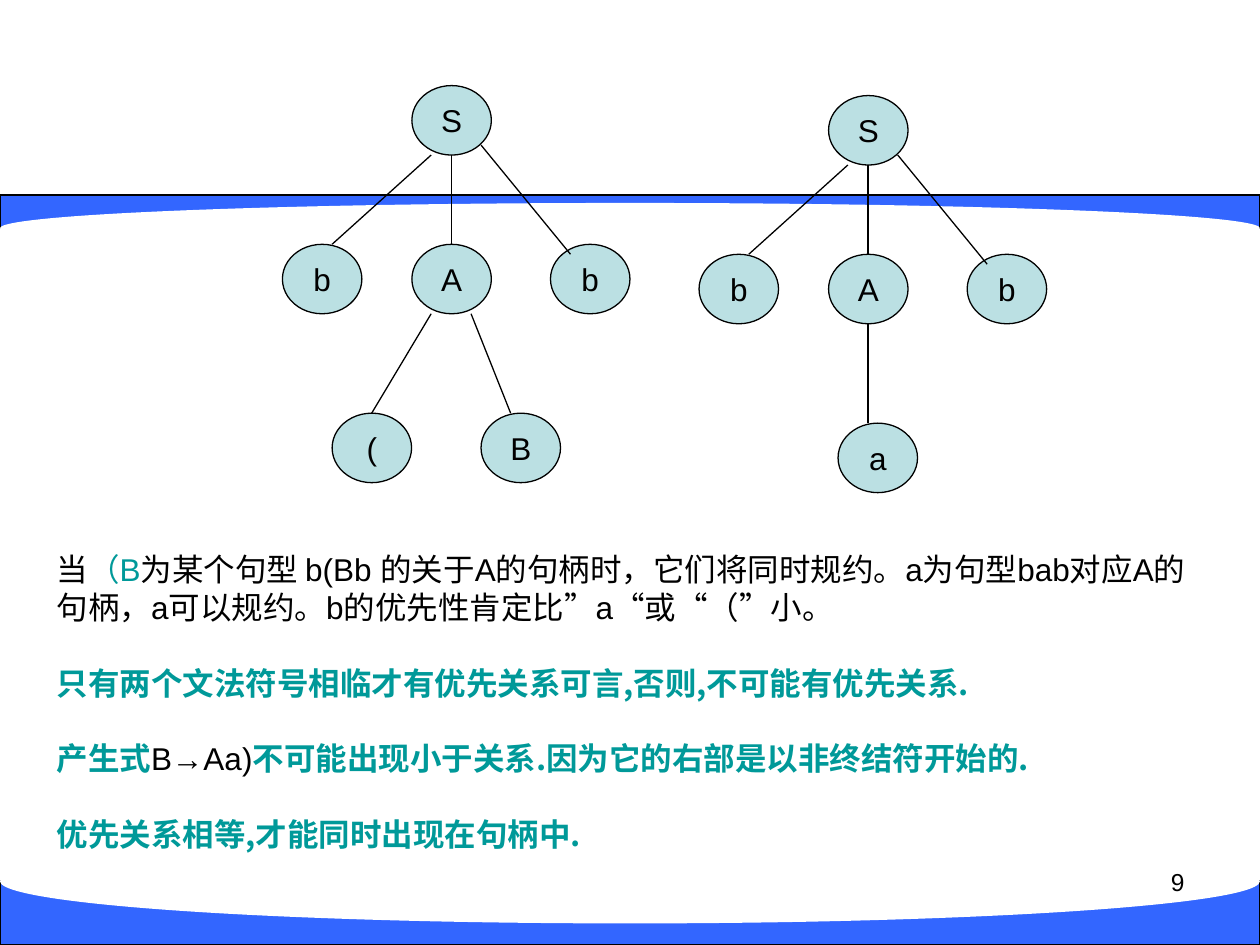
from dataclasses import dataclass

from lxml import etree
from pptx import Presentation
from pptx import util as u
from pptx.dml import color
from pptx.enum import shapes, text
from pptx.oxml import ns


@dataclass(frozen=True)
class Theme:
    ink: str = "000000"
    accent: str = "009999"
    band: str = "3366FF"
    paper: str = "FFFFFF"
    node: str = "BBE0E3"
    latin: str = "Arial"
    chinese: str = "Noto Sans CJK SC"
    body: float = 18
    number: float = 14
    line: float = 0.75


class SlideBuilder:
    def __init__(self, slide, theme):
        self.slide = slide
        self.theme = theme

    def shape(self, kind, left, top, width, height, fill, outlined=True):
        shape = self.slide.shapes.add_shape(
            kind, u.Pt(left), u.Pt(top), u.Pt(width), u.Pt(height))
        shape.shadow.inherit = False
        shape.fill.solid()
        shape.fill.fore_color.rgb = color.RGBColor.from_string(fill)
        if outlined:
            shape.line.color.rgb = color.RGBColor.from_string(self.theme.ink)
            shape.line.width = u.Pt(self.theme.line)
        else:
            shape.line.fill.background()
        return shape

    def band(self, top, height, curve_top, curve_height):
        self.shape(shapes.MSO_SHAPE.RECTANGLE, 0, top, 720, height, self.theme.band)
        self.shape(shapes.MSO_SHAPE.OVAL, 0, curve_top, 720, curve_height,
                   self.theme.paper, outlined=False)

    def format_run(self, run, size, ink, bold=False):
        run.font.size = u.Pt(size)
        run.font.bold = bold
        run.font.name = self.theme.chinese if bold else self.theme.latin
        run.font.color.rgb = color.RGBColor.from_string(ink)
        east_asian = etree.SubElement(run.font._element, ns.qn("a:ea"))
        east_asian.set("typeface", self.theme.chinese)

    def node(self, label, left, top):
        shape = self.shape(shapes.MSO_SHAPE.OVAL, left, top, 45.4, 39.7, self.theme.node)
        frame = shape.text_frame
        frame.text = label
        frame.word_wrap = False
        frame.vertical_anchor = text.MSO_ANCHOR.MIDDLE
        paragraph = frame.paragraphs[0]
        paragraph.alignment = text.PP_ALIGN.CENTER
        self.format_run(paragraph.runs[0], self.theme.body, self.theme.ink)

    def edge(self, start, end):
        line = self.slide.shapes.add_connector(
            shapes.MSO_CONNECTOR.STRAIGHT, *(u.Pt(value) for value in (*start, *end)))
        line.line.color.rgb = color.RGBColor.from_string(self.theme.ink)
        line.line.width = u.Pt(self.theme.line)
        etree.SubElement(line._element.spPr, ns.qn("a:effectLst"))

    def tree(self, left, top, nodes, edges):
        for label, x, y in nodes:
            self.node(label, left + x, top + y)
        for (x1, y1), (x2, y2) in edges:
            self.edge((left + x1, top + y1), (left + x2, top + y2))

    def text_box(self, left, top, width, height, paragraphs, size,
                 gap=0, alignment=text.PP_ALIGN.LEFT):
        box = self.slide.shapes.add_textbox(
            u.Pt(left), u.Pt(top), u.Pt(width), u.Pt(height))
        frame = box.text_frame
        frame.word_wrap = True
        for index, pieces in enumerate(paragraphs):
            paragraph = frame.add_paragraph() if index else frame.paragraphs[0]
            paragraph.alignment = alignment
            if index:
                paragraph.space_before = u.Pt(gap)
            for words, ink, bold in pieces:
                run = paragraph.add_run()
                run.text = words
                self.format_run(run, size, ink, bold)


def main():
    theme = Theme()
    presentation = Presentation()
    presentation.slide_width = u.Pt(720)
    presentation.slide_height = u.Pt(540)
    slide = presentation.slides.add_slide(presentation.slide_layouts[6])
    builder = SlideBuilder(slide, theme)

    builder.band(111.4, 19.4, 116, 28.8)
    builder.band(503.4, 36.6, 479.5, 48.2)

    notes = [
        [("当", theme.ink, False),
         ("（B", theme.accent, False),
         ("为某个句型 b(Bb 的关于A的句柄时，它们将同时规约。a为句型bab对应A的句柄，"
          "a可以规约。b的优先性肯定比”a“或“（”小。", theme.ink, False)],
        [("只有两个文法符号相临才有优先关系可言,否则,不可能有优先关系.", theme.accent, True)],
        [("产生式", theme.accent, True),
         ("B→Aa)", theme.ink, False),
         ("不可能出现小于关系.因为它的右部是以非终结符开始的.", theme.accent, True)],
        [("优先关系相等,才能同时出现在句柄中.", theme.accent, True)],
    ]
    builder.text_box(25.2, 311, 668.9, 180, notes, theme.body, gap=21.6)

    top_nodes = [("S", 74, 0), ("b", 0, 90.7), ("A", 74, 90.7), ("b", 153.2, 90.7)]
    top_edges = [((85, 39.7), (28.4, 90.7)),
                 ((96.5, 39.7), (96.5, 90.7)),
                 ((113.5, 34), (164.6, 96.4))]
    builder.tree(161.4, 48.9,
                 top_nodes + [("(", 28.4, 187.2), ("B", 113.5, 187.2)],
                 top_edges + [((85, 130.4), (51, 187.2)), ((107.8, 130.4), (130.4, 187.2))])
    builder.tree(399.5, 54.6,
                 top_nodes + [("a", 79.4, 187.2)],
                 top_edges + [((96.5, 130.4), (96.5, 187.2))])

    builder.text_box(516.2, 491.8, 167.8, 37.4, [[("9", theme.ink, False)]],
                     theme.number, alignment=text.PP_ALIGN.RIGHT)
    presentation.save("out.pptx")


if __name__ == "__main__":
    main()
